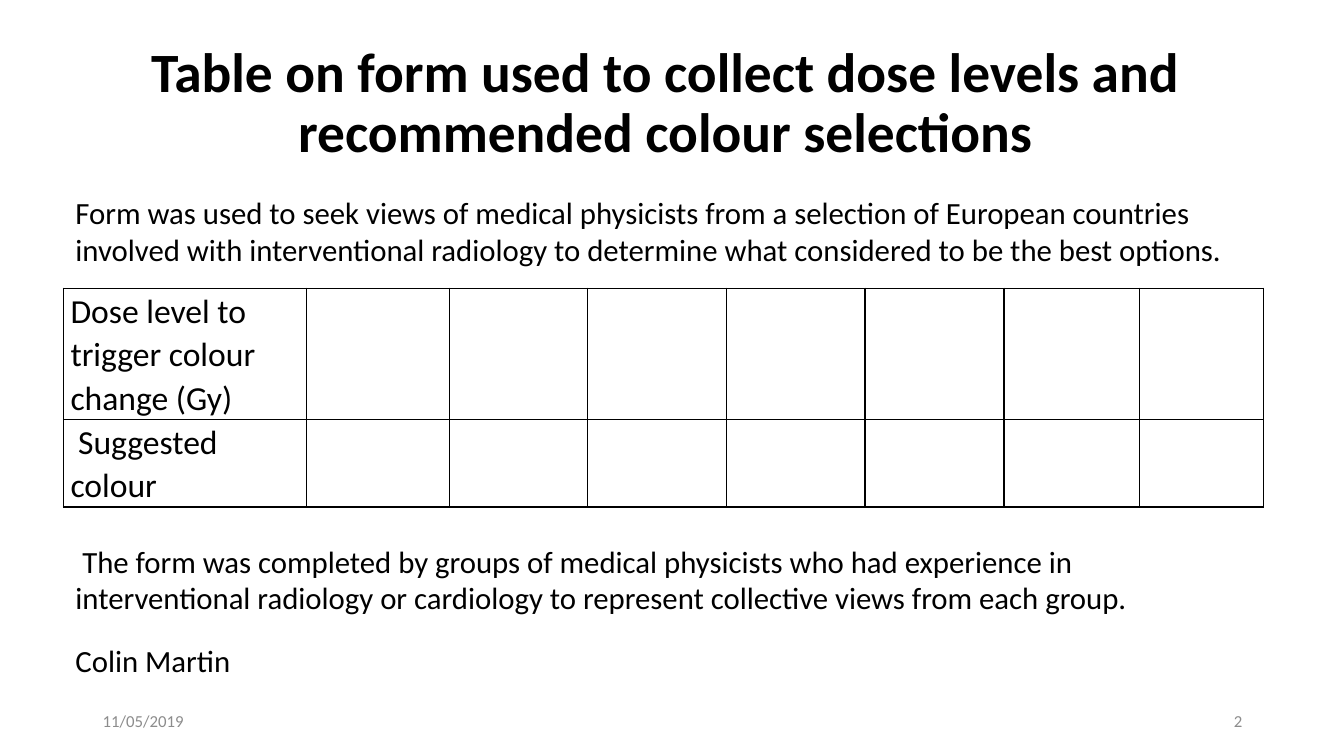
import pptx
import pptx.util
import pptx.dml.color
import pptx.enum.text
import pptx.oxml
import pptx.oxml.ns
from pptx.util import Inches

BLACK = pptx.dml.color.RGBColor(0x00, 0x00, 0x00)
GREY = pptx.dml.color.RGBColor(0x8C, 0x8C, 0x8C)
ALIGN = pptx.enum.text.PP_ALIGN
ANCHOR = pptx.enum.text.MSO_ANCHOR
FONT = "Calibri"


def style_paragraph(paragraph, size, color=BLACK, bold=False):
    paragraph.font.name = FONT
    paragraph.font.size = pptx.util.Pt(size)
    paragraph.font.color.rgb = color
    paragraph.font.bold = bold


def add_text(slide, box, texts, size, color=BLACK, bold=False, align=ALIGN.LEFT,
             anchor=ANCHOR.TOP, space_before=0, line_spacing=1.0):
    """Write paragraphs in a box; the gap applies from the second one on."""
    frame = slide.shapes.add_textbox(*map(Inches, box)).text_frame
    frame.word_wrap = True
    frame.vertical_anchor = anchor
    for index, text in enumerate(texts):
        paragraph = frame.add_paragraph() if index else frame.paragraphs[0]
        paragraph.text = text
        paragraph.alignment = align
        paragraph.line_spacing = line_spacing
        paragraph.space_before = pptx.util.Pt(space_before if index else 0)
        style_paragraph(paragraph, size, color, bold)


def add_borders(cell):
    properties = cell._tc.get_or_add_tcPr()
    for position, side in enumerate(("lnL", "lnR", "lnT", "lnB")):
        properties.insert(position, pptx.oxml.parse_xml(
            f'<a:{side} {pptx.oxml.ns.nsdecls("a")} w="12700"><a:solidFill>'
            f'<a:srgbClr val="{BLACK}"/></a:solidFill></a:{side}>'))


def add_dose_table(slide, box, column_widths, row_heights, labels):
    """Form grid: labels in the first column, blank cells to fill in."""
    table = slide.shapes.add_table(
        len(labels), len(column_widths), *map(Inches, box)).table
    table.first_row = table.horz_banding = False
    for column, width in zip(table.columns, column_widths):
        column.width = Inches(width)
    for row, height, label in zip(table.rows, row_heights, labels):
        row.height = Inches(height)
        for index, cell in enumerate(row.cells):
            cell.fill.background()
            cell.margin_left = cell.margin_right = Inches(0.07)
            cell.margin_top = cell.margin_bottom = 0
            add_borders(cell)
            paragraph = cell.text_frame.paragraphs[0]
            paragraph.line_spacing = 1.07
            if index == 0:
                paragraph.text = label
            style_paragraph(paragraph, 24)


def add_footer(slide, box, date, number):
    left, top, width, height = box
    field_width = 3
    fields = ((left, date, ALIGN.LEFT),
              (left + width - field_width, number, ALIGN.RIGHT))
    for field_left, text, align in fields:
        add_text(slide, (field_left, top, field_width, height), [text], 12,
                 color=GREY, align=align, anchor=ANCHOR.MIDDLE)


presentation = pptx.Presentation()
presentation.slide_width = Inches(13.33)
presentation.slide_height = Inches(7.5)
slide = presentation.slides.add_slide(presentation.slide_layouts[6])

# Title
add_text(slide, (0.85, 0.45, 11.5, 1.18),
         ["Table on form used to collect dose levels and recommended colour selections"],
         39.6, bold=True, align=ALIGN.CENTER, anchor=ANCHOR.MIDDLE, line_spacing=0.9)

# Introduction above the table
add_text(slide, (0.65, 1.87, 11.64, 0.85),
         ["Form was used to seek views of medical physicists from a selection of European "
          "countries involved with interventional radiology to determine what considered "
          "to be the best options."], 22)

# Form table
add_dose_table(slide, (0.63, 2.86, 11.9, 2.17),
               (2.41, 1.42, 1.37, 1.38, 1.37, 1.38, 1.34, 1.23), (1.3, 0.87),
               ("Dose level to trigger colour change (Gy)", "\u00a0Suggested colour"))

# Closing remarks below the table
add_text(slide, (0.65, 5.33, 11.64, 1.49),
         [" The form was completed by groups of medical physicists who had experience in "
          "interventional radiology or cardiology to represent collective views from "
          "each group.", "Colin Martin"], 22, space_before=18)

# Footer
add_footer(slide, (0.92, 6.95, 11.5, 0.4), "11/05/2019", "2")

presentation.save("out.pptx")
